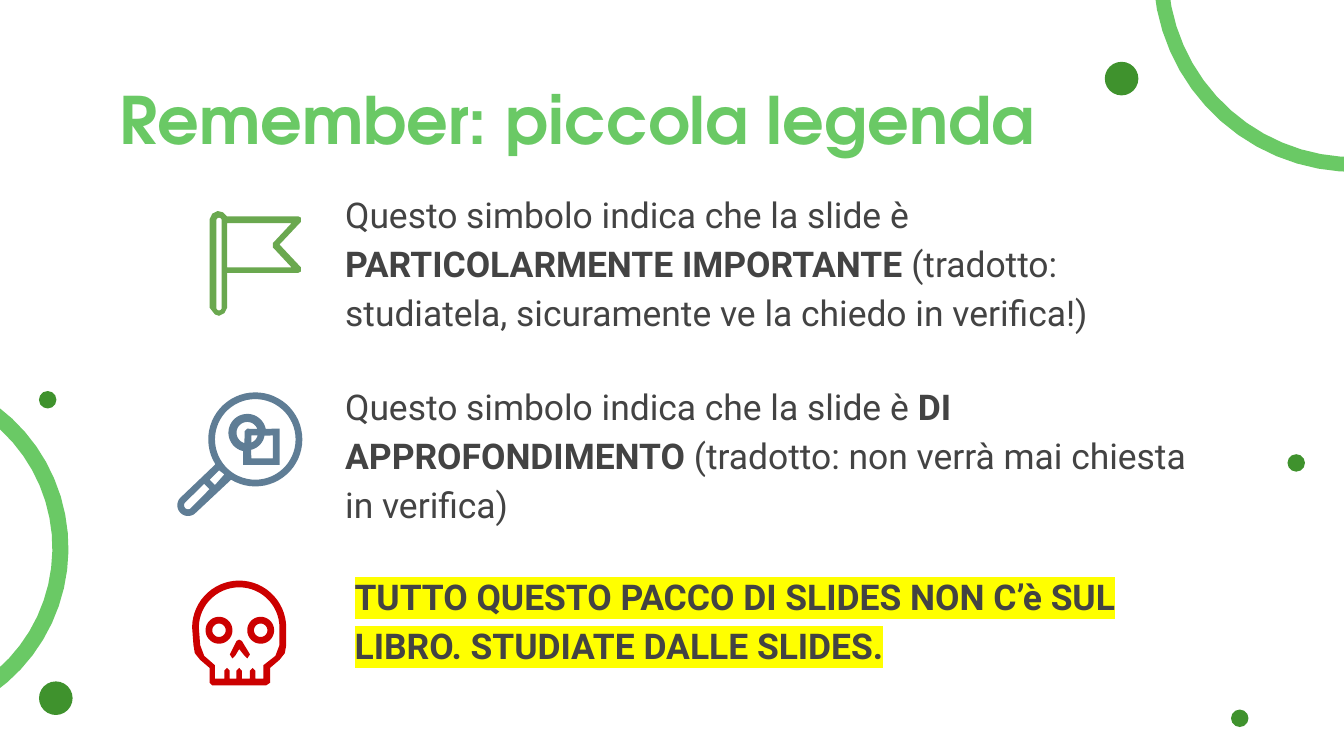
from math import cos, radians, sin

from lxml import etree
from pptx import Presentation
from pptx.dml.color import RGBColor
from pptx.enum.shapes import MSO_SHAPE
from pptx.enum.text import MSO_ANCHOR
from pptx.oxml.ns import qn
from pptx.util import Inches, Pt

OVAL = MSO_SHAPE.OVAL
TOP = MSO_ANCHOR.TOP
color = RGBColor.from_string

LIGHT_GREEN = "6AC965"
DARK_GREEN = "3F922D"
FLAG_GREEN = "6AA84F"
BLUE = "5F7D95"
RED = "CC0000"
GREY = "434343"
YELLOW = "FFFF00"


def arc(x, y, radius, start, end):
    """Points along an arc, in inches; angles in degrees, clockwise from the right."""
    steps = max(8, int(abs(end - start) / 6))
    angles = [radians(start + (end - start) * i / steps) for i in range(steps + 1)]
    return [(x + radius * cos(a), y + radius * sin(a)) for a in angles]


def draw_outline(shapes, contours, fill):
    """Fill closed contours as one shape; inner contours become holes."""
    builder = None
    for contour in contours:
        points = [(Inches(x), Inches(y)) for x, y in contour]
        if builder is None:
            builder = shapes.build_freeform(*points[0])
        else:
            builder.move_to(*points[0])
        builder.add_line_segments(points[1:], close=True)
    shape = builder.convert_to_shape()
    shape.shadow.inherit = False
    shape.fill.solid()
    shape.fill.fore_color.rgb = color(fill)
    shape.line.fill.background()


deck = Presentation()
deck.slide_width = Inches(10)
deck.slide_height = Inches(10 * 9 / 16)
page = deck.slides.add_slide(deck.slide_layouts[6])

# Corner rings: centre, outer and inner radius, start and end angle
rings = [
    (-0.81, 4.08, 1.32, 1.2, -53, 55),
    (10.08, -0.22, 1.5, 1.39, 88, 175),
]
for x, y, outer, inner, start, end in rings:
    band = arc(x, y, outer, start, end) + arc(x, y, inner, end, start)
    draw_outline(page.shapes, [band], LIGHT_GREEN)

# Dots: left, top, diameter
dots = [
    (0.29, 5.07, 0.25),
    (9.58, 3.38, 0.13),
    (8.22, 0.46, 0.25),
    (9.16, 5.28, 0.13),
    (0.29, 2.91, 0.13),
]
for left, top, size in dots:
    dot = page.shapes.add_shape(OVAL, Inches(left), Inches(top), Inches(size), Inches(size))
    dot.shadow.inherit = False
    dot.fill.solid()
    dot.fill.fore_color.rgb = color(DARK_GREEN)
    dot.line.fill.background()

# Flag
flag = (
    [(1.56, 1.63), (1.58, 1.59), (1.62, 1.57), (1.66, 1.58), (1.69, 1.61),
     (2.22, 1.61), (2.24, 1.62), (2.24, 1.65), (2.08, 1.82),
     (2.24, 1.99), (2.24, 2.02), (2.22, 2.03), (1.69, 2.03), (1.69, 2.29),
     (1.67, 2.33), (1.63, 2.35), (1.6, 2.34), (1.56, 2.29)]
)
pole_hole = arc(1.63, 1.64, 0.02, 180, 360) + arc(1.63, 2.29, 0.02, 0, 180)
cloth_hole = [(2.17, 1.66), (2.03, 1.81), (2.03, 1.84), (2.17, 1.99), (1.69, 1.99), (1.69, 1.66)]
draw_outline(page.shapes, [flag, pole_hole, cloth_hole], FLAG_GREEN)

# Magnifying glass
glass = page.shapes.add_group_shape().shapes
draw_outline(glass, [
    arc(1.9, 3.27, 0.35, 148, 481) + arc(1.4, 3.76, 0.08, 45, 225),
    arc(1.9, 3.27, 0.3, 0, 360),
    [(1.63, 3.5), (1.67, 3.53), (1.6, 3.61), (1.56, 3.57)],
    [(1.52, 3.6), (1.56, 3.64)] + arc(1.4, 3.76, 0.03, 45, 225),
], BLUE)
draw_outline(glass, [
    arc(1.84, 3.22, 0.14, -12, -257) + [(1.81, 3.46), (2.08, 3.46), (2.08, 3.19)],
    [(1.87, 3.24)] + arc(1.84, 3.22, 0.08, 14, 68),
    arc(1.84, 3.22, 0.08, -20, -255) + [(1.82, 3.21), (1.84, 3.19)],
    [(2.03, 3.24), (2.03, 3.41), (1.87, 3.41)] + arc(1.84, 3.22, 0.13, 77, 10),
], BLUE)

# Skull
skull = page.shapes.add_group_shape().shapes
head = arc(1.78, 4.67, 0.35, 180, 360) + [
    (2.13, 4.8), (2.12, 4.86), (2.08, 4.91), (2.01, 4.97), (2.01, 5.08), (1.98, 5.1),
    (1.58, 5.1), (1.56, 5.08), (1.56, 4.97), (1.49, 4.91), (1.45, 4.86), (1.44, 4.8),
]
head_hole = arc(1.78, 4.67, 0.3, 180, 360) + [(2.08, 4.8), (2.05, 4.88), (1.96, 4.95), (1.96, 5.05)]
for x in (1.88, 1.78, 1.69):
    head_hole += [(x + 0.02, 5.05), (x + 0.02, 4.99), (x, 4.97), (x - 0.02, 4.99), (x - 0.02, 5.05)]
head_hole += [(1.6, 5.05), (1.6, 4.95), (1.52, 4.88), (1.49, 4.8)]
nose = [(1.78, 4.76), (1.8, 4.77), (1.86, 4.87), (1.84, 4.9), (1.82, 4.88),
        (1.78, 4.83), (1.75, 4.88), (1.73, 4.9), (1.71, 4.87), (1.76, 4.77)]
draw_outline(skull, [head, head_hole], RED)
draw_outline(skull, [nose], RED)
for x in (1.63, 1.94):
    draw_outline(skull, [arc(x, 4.69, 0.1, 0, 360), arc(x, 4.69, 0.05, 0, 360)], RED)

# Texts: position, (font, size, colour, line spacing), highlight, runs of (text, bold)
body = ("Roboto", 19, GREY, 1.15)
texts = [
    ((0.79, 0.49, 8.43, 0.63), ("TeX Gyre Adventor", 35, LIGHT_GREEN, 1.0), None,
     [("Remember: piccola legenda", True)]),
    ((2.47, 1.29, 6.59, 0.78), body, None,
     [("Questo simbolo indica che la slide è ", False),
      ("PARTICOLARMENTE IMPORTANTE ", True),
      ("(tradotto: studiatela, sicuramente ve la chiedo in verifica!)", False)]),
    ((2.47, 2.72, 6.59, 1.05), body, None,
     [("Questo simbolo indica che la slide è ", False),
      ("DI APPROFONDIMENTO", True),
      (" (tradotto: non verrà mai chiesta in verifica)", False)]),
    ((2.54, 4.13, 6.59, 1.05), body, YELLOW,
     [("TUTTO QUESTO PACCO DI SLIDES NON C’è SUL LIBRO. STUDIATE DALLE SLIDES.", True)]),
]
for position, (font, size, ink, spacing), highlight, runs in texts:
    box = page.shapes.add_textbox(*[Inches(value) for value in position])
    frame = box.text_frame
    frame.word_wrap = True
    frame.vertical_anchor = TOP
    frame.margin_left = frame.margin_right = Inches(0.1)
    frame.margin_top = frame.margin_bottom = Inches(0.1)
    para = frame.paragraphs[0]
    para.line_spacing = spacing
    for text, bold in runs:
        span = para.add_run()
        span.text = text
        span.font.name = font
        span.font.size = Pt(size)
        span.font.bold = bold
        span.font.color.rgb = color(ink)
        if highlight:
            marker = etree.Element(qn("a:highlight"))
            etree.SubElement(marker, qn("a:srgbClr"), val=highlight)
            span._r.rPr.find(qn("a:solidFill")).addnext(marker)

deck.save("out.pptx")
